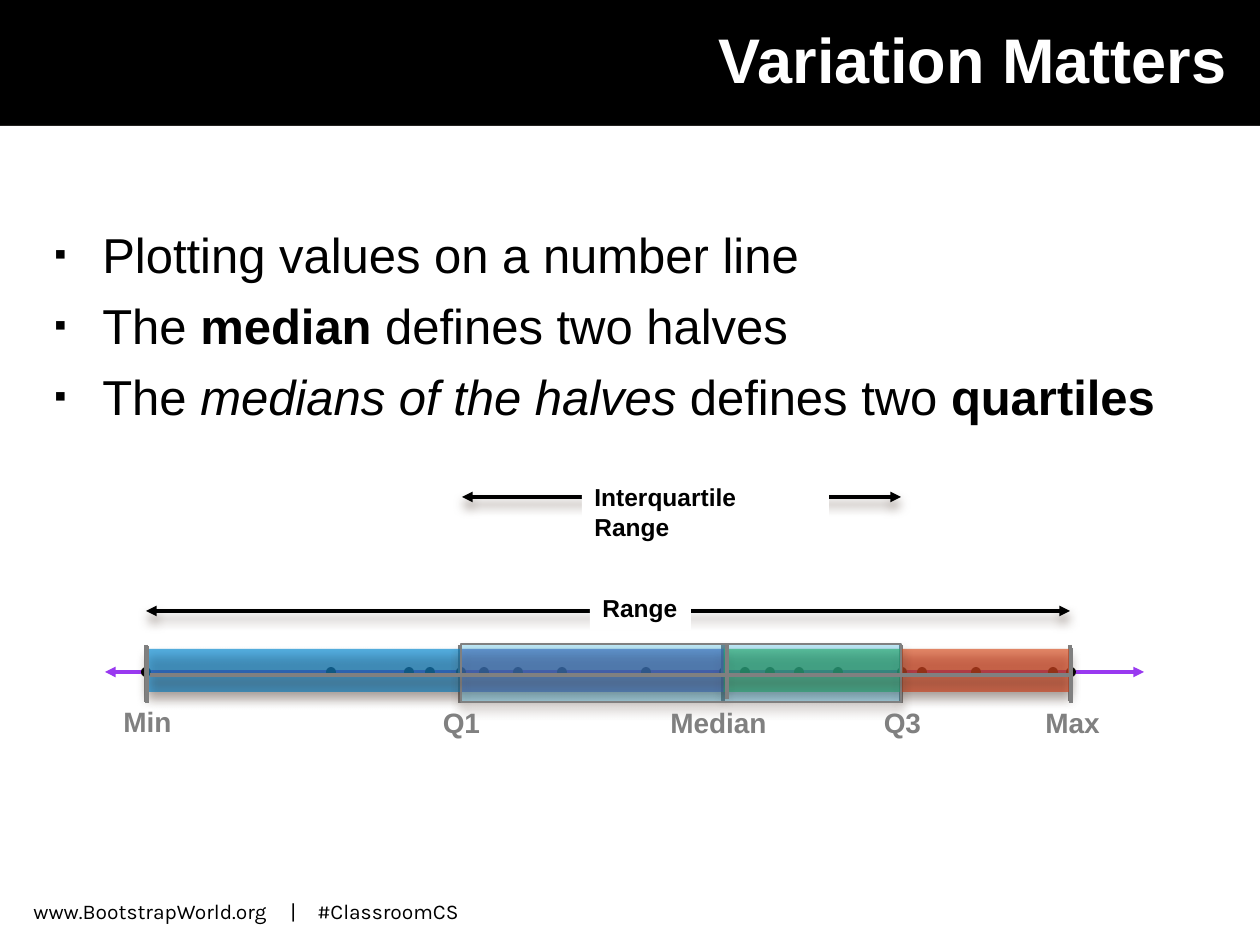
"""Build the Variation Matters slide with its quartile number line."""
from lxml import etree
from pptx import Presentation
from pptx.dml.color import RGBColor
from pptx.enum.shapes import MSO_CONNECTOR, MSO_SHAPE
from pptx.enum.text import MSO_ANCHOR, PP_ALIGN
from pptx.oxml.ns import qn
from pptx.util import Pt

SCALE = 914400 / 126
STRAIGHT = MSO_CONNECTOR.STRAIGHT
RECTANGLE, OVAL = MSO_SHAPE.RECTANGLE, MSO_SHAPE.OVAL
TOP, MIDDLE = MSO_ANCHOR.TOP, MSO_ANCHOR.MIDDLE
LEFT, CENTER, RIGHT = PP_ALIGN.LEFT, PP_ALIGN.CENTER, PP_ALIGN.RIGHT
COLORS = {
    "black": "000000", "white": "FFFFFF", "gray": "808080", "axis": "9939F0",
    "sky": "00B0F0", "lime": "92D050", "red": "FF0000", "green": "00B050",
    "blue": "0070C0", "purple": "7030A0", "shadow": "4E3B30",
}
RGB = {name: RGBColor.from_string(value) for name, value in COLORS.items()}

deck = Presentation()
deck.slide_width, deck.slide_height = round(1260 * SCALE), round(945 * SCALE)
page = deck.slides.add_slide(deck.slide_layouts[6])
page.background.fill.solid()
page.background.fill.fore_color.rgb = RGB["black"]


def set_effects(shape, shadowed):
    properties = shape._element.spPr
    effects = properties.find(qn("a:effectLst"))
    if effects is None:
        effects = etree.SubElement(properties, qn("a:effectLst"))
    if shadowed:
        shadow = etree.SubElement(effects, qn("a:outerShdw"), blurRad=str(Pt(6)),
                                  dist=str(Pt(4)), dir="5400000", rotWithShape="0")
        color = etree.SubElement(shadow, qn("a:srgbClr"), val=COLORS["shadow"])
        etree.SubElement(color, qn("a:alpha"), val="60000")


def add_box(kind, bounds, color, opacity=100, shadowed=False):
    box = page.shapes.add_shape(kind, *[round(value * SCALE) for value in bounds])
    box.fill.solid()
    box.fill.fore_color.rgb = RGB[color]
    box.line.fill.background()
    box.shadow.inherit = False
    if opacity < 100:
        tint = box._element.spPr.find(qn("a:solidFill")).find(qn("a:srgbClr"))
        etree.SubElement(tint, qn("a:alpha"), val=str(opacity * 1000))
    set_effects(box, shadowed)
    return box


add_box(RECTANGLE, (0, 126, 1260, 819), "white", shadowed=True)

bullets = [
    [("Plotting values on a number line", "")],
    [("The ", ""), ("median", "bold"), (" defines two halves", "")],
    [("The ", ""), ("medians of the halves ", "italic"),
     ("defines two ", ""), ("quartiles", "bold")],
]
body = page.shapes.add_textbox(*[round(v * SCALE) for v in (42, 218, 1197, 620)])
body.text_frame.word_wrap = True
for index, parts in enumerate(bullets):
    para = body.text_frame.add_paragraph() if index else body.text_frame.paragraphs[0]
    indent = round(48 * SCALE)
    properties = para._p.get_or_add_pPr()
    properties.set("marL", str(indent))
    properties.set("indent", str(-indent))
    if index:
        para.space_before = Pt(7)
    bullet_color = etree.SubElement(properties, qn("a:buClr"))
    etree.SubElement(bullet_color, qn("a:srgbClr"), val=COLORS["black"])
    etree.SubElement(properties, qn("a:buSzPct"), val="70000")
    etree.SubElement(properties, qn("a:buFont"), typeface="Arial")
    etree.SubElement(properties, qn("a:buChar"), char="▪")
    for words, style in parts:
        span = para.add_run()
        span.text = words
        span.font.name, span.font.size = "Arial", Pt(28)
        span.font.color.rgb = RGB["black"]
        span.font.bold, span.font.italic = style == "bold", style == "italic"

lines = [(105, 672, 1144, 672, "axis", True, False)]
for left, top, bottom in [(146, 645, 702), (1070, 645, 701), (723, 645, 703),
                          (460, 645, 703), (901, 645, 703)]:
    lines.append((left, top, left, bottom, "gray", False, False))
lines += [
    (1070, 675, 150, 675, "gray", False, True),
    (147, 646, 147, 703, "gray", False, False),
    (1071, 648, 1071, 703, "gray", False, False),
    (727, 644, 727, 699, "gray", False, False),
    (462, 497, 901, 497, "black", True, True),
    (146, 611, 1070, 611, "black", True, True),
]
dots = [141, 326, 404, 425, 456, 479, 513, 557, 641, 719,
        740, 765, 794, 833, 897, 917, 971, 1048, 1066]
bars = [(146, 580, "sky"), (723, 347, "lime"), (901, 170, "red"),
        (723, 178, "green"), (149, 312, "blue"), (461, 263, "purple")]

for position, (x1, y1, x2, y2, color, arrows, shadowed) in enumerate(lines):
    if position == 6:
        for left, width, shade in bars:
            add_box(RECTANGLE, (left, 649, width, 43), shade, 42, True)
        middle_half = add_box(RECTANGLE, (461, 644, 440, 58), "sky", 24, True)
        middle_half.line.color.rgb = RGB["gray"]
        middle_half.line.width = Pt(0.79)
    line = page.shapes.add_connector(
        STRAIGHT, *[round(value * SCALE) for value in (x1, y1, x2, y2)])
    line.line.color.rgb = RGB[color]
    line.line.width = Pt(2)
    if arrows:
        stroke = line.line._get_or_add_ln()
        for end in ("a:headEnd", "a:tailEnd"):
            etree.SubElement(stroke, qn(end), type="triangle")
    set_effects(line, shadowed)
    if position == 0:
        for left in dots:
            add_box(OVAL, (left, 667, 10, 10), "black")

add_box(RECTANGLE, (582, 476, 247, 43), "white")
add_box(RECTANGLE, (590, 587, 101, 43), "white")

texts = [
    ("Variation Matters", (42, 0, 1197, 116), 36, "white", RIGHT, MIDDLE, True),
    ("Interquartile Range", (582, 476, 230, 43), 14, "black", LEFT, TOP, True),
    ("Range", (590, 587, 101, 43), 14, "black", LEFT, TOP, False),
    ("Min", (111, 698, 74, 47), 16, "gray", LEFT, TOP, False),
    ("Max", (1033, 699, 81, 47), 16, "gray", LEFT, TOP, False),
    ("Median", (658, 699, 123, 47), 16, "gray", LEFT, TOP, False),
    ("Q1", (430, 699, 63, 47), 16, "gray", CENTER, TOP, False),
    ("Q3", (871, 699, 63, 47), 16, "gray", CENTER, TOP, False),
    ("www.BootstrapWorld.org\t|\t#ClassroomCS", (21, 892, 473, 40), 12, "black",
     LEFT, TOP, True),
]
for words, bounds, size, color, align, anchor, wrap in texts:
    box = page.shapes.add_textbox(*[round(value * SCALE) for value in bounds])
    box.text_frame.word_wrap = wrap
    box.text_frame.vertical_anchor = anchor
    box.text_frame.text = words
    para = box.text_frame.paragraphs[0]
    para.alignment = align
    if "\t" in words:
        stops = etree.SubElement(para._p.get_or_add_pPr(), qn("a:tabLst"))
        for stop in (257, 284):
            etree.SubElement(stops, qn("a:tab"), pos=str(round(stop * SCALE)), algn="l")
    for span in para.runs:
        span.font.name = "Karla" if size == 12 else "Arial"
        span.font.size, span.font.bold = Pt(size), size != 12
        span.font.color.rgb = RGB[color]

deck.save("out.pptx")
